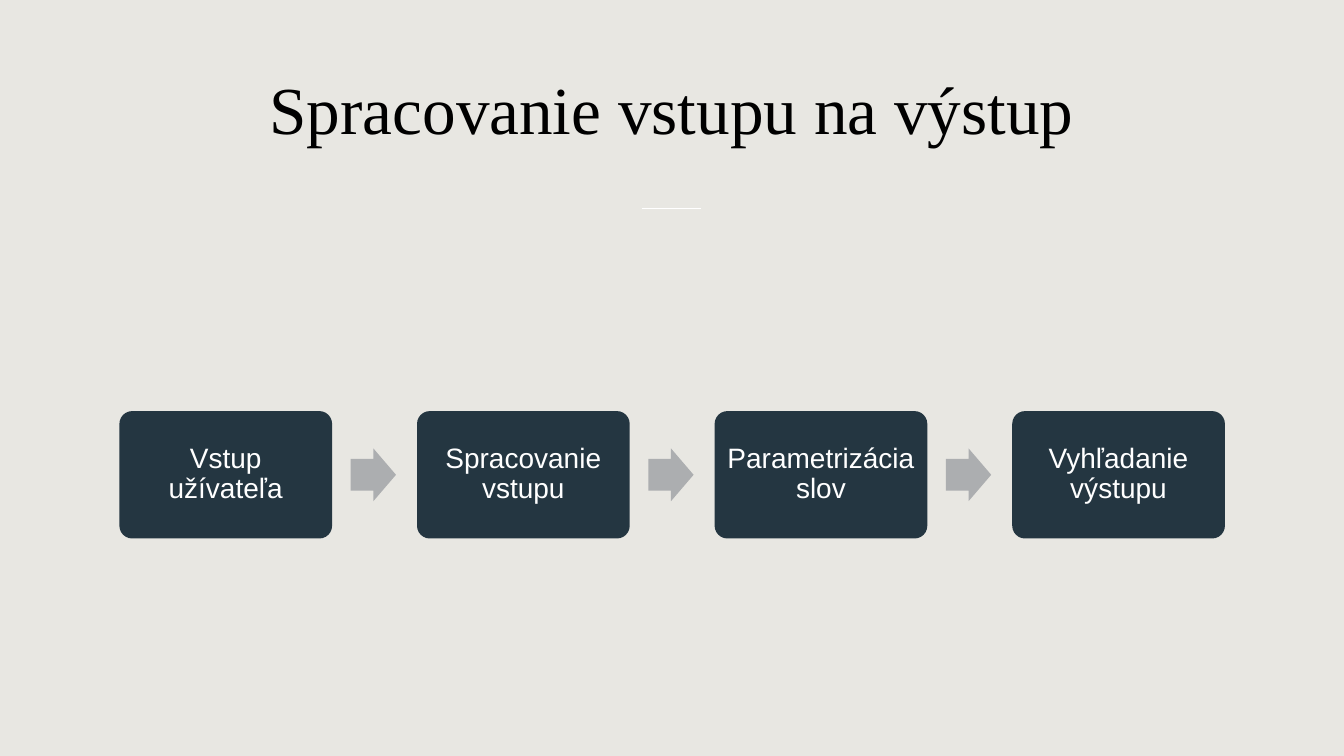
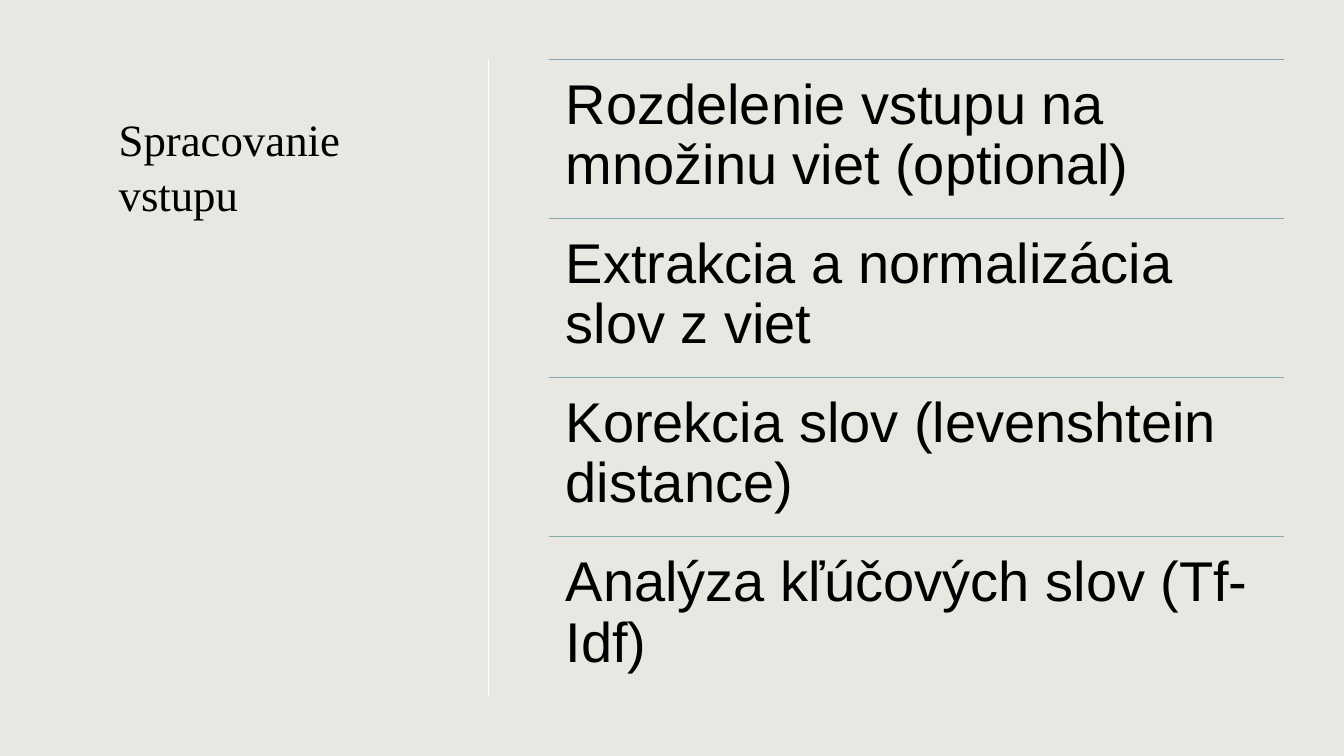
from lxml import etree
from pptx import Presentation
from pptx.dml.color import RGBColor
from pptx.enum.shapes import MSO_CONNECTOR, MSO_SHAPE
from pptx.enum.text import MSO_ANCHOR, PP_ALIGN
from pptx.oxml.ns import qn
from pptx.util import Cm, Pt

LEFT, MID = PP_ALIGN.LEFT, PP_ALIGN.CENTER
TOP, CENTER = MSO_ANCHOR.TOP, MSO_ANCHOR.MIDDLE
ROUND, ARROW = MSO_SHAPE.ROUNDED_RECTANGLE, MSO_SHAPE.RIGHT_ARROW
STRAIGHT = MSO_CONNECTOR.STRAIGHT

HUES = {
    "paper": "E8E7E2", "ink": "000000", "white": "FFFFFF",
    "navy": "243641", "gray": "ACAEB0",
    "rule1": "7FA5BA", "rule2": "80AAB5", "rule3": "81ADB1", "rule4": "82ACA9",
}
HEAD, BODY = "Times New Roman", "Arial"

STEPS = ["Vstup užívateľa", "Spracovanie vstupu", "Parametrizácia slov", "Vyhľadanie výstupu"]
TASKS = [
    ("Rozdelenie vstupu na množinu viet (optional)", "rule1"),
    ("Extrakcia a normalizácia slov z viet", "rule2"),
    ("Korekcia slov (levenshtein distance)", "rule3"),
    ("Analýza kľúčových slov (Tf-Idf)", "rule4"),
]


def hue(name):
    return RGBColor.from_string(HUES[name])


def write(shape, text, size, font=BODY, color="ink", align=LEFT, anchor=TOP,
          pad=(0.25, 0.13), space=0.9):
    frame = shape.text_frame
    frame.word_wrap = True
    frame.vertical_anchor = anchor
    frame.margin_left = frame.margin_right = Cm(pad[0])
    frame.margin_top = frame.margin_bottom = Cm(pad[1])
    para = frame.paragraphs[0]
    para.alignment = align
    para.line_spacing = space
    run = para.add_run()
    run.text = text
    run.font.size = Pt(size)
    run.font.name = font
    run.font.color.rgb = hue(color)


class Deck:
    """Holds the shared style and the slide being drawn."""

    def __init__(self):
        self.file = Presentation()
        self.file.slide_width = Cm(33.87)
        self.file.slide_height = Cm(19.05)
        self.slide = None

    def page(self):
        self.slide = self.file.slides.add_slide(self.file.slide_layouts[6])
        fill = self.slide.background.fill
        fill.solid()
        fill.fore_color.rgb = hue("paper")

    def text(self, box, text, size, **style):
        shape = self.slide.shapes.add_textbox(*map(Cm, box))
        write(shape, text, size, **style)

    def title(self, box, text, size, **style):
        self.text(box, text, size, font=HEAD, space=1.03, **style)

    def line(self, ends, color="white", width=1):
        rule = self.slide.shapes.add_connector(STRAIGHT, *map(Cm, ends))
        rule.line.color.rgb = hue(color)
        rule.line.width = Pt(width)
        etree.SubElement(rule._element.spPr, qn("a:effectLst"))

    def shape(self, kind, box, color, bends):
        shape = self.slide.shapes.add_shape(kind, *map(Cm, box))
        shape.shadow.inherit = False
        shape.fill.solid()
        shape.fill.fore_color.rgb = hue(color)
        shape.line.fill.background()
        for spot, bend in enumerate(bends):
            shape.adjustments[spot] = bend
        return shape


def flow(deck):
    deck.page()
    deck.title((2.74, 0.75, 28.38, 3.86), "Spracovanie vstupu na výstup", 48,
               align=MID, anchor=CENTER)
    deck.line((16.17, 5.25, 17.67, 5.25))
    left, step = 3.01, 7.5
    for spot, name in enumerate(STEPS):
        x = left + spot * step
        if spot:
            deck.shape(ARROW, (x - 1.67, 11.3, 1.14, 1.33), "gray", (0.6, 0.5))
        card = deck.shape(ROUND, (x, 10.36, 5.36, 3.21), "navy", (0.1,))
        write(card, name, 20, color="white", align=MID, anchor=CENTER, pad=(0.18, 0.18))


def tasks(deck):
    deck.page()
    deck.title((2.74, 2.64, 7.77, 13.03), "Spracovanie vstupu", 32)
    deck.line((12.31, 1.5, 12.31, 17.54))
    left, top, wide, high = 13.84, 1.49, 18.52, 4.01
    for spot, (name, color) in enumerate(TASKS):
        y = top + spot * high
        deck.line((left, y, left + wide, y), color, 0.75)
        deck.text((left, y, wide, high), name, 40, pad=(0.42, 0.42))


def main():
    deck = Deck()
    flow(deck)
    tasks(deck)
    deck.file.save("out.pptx")


if __name__ == "__main__":
    main()
